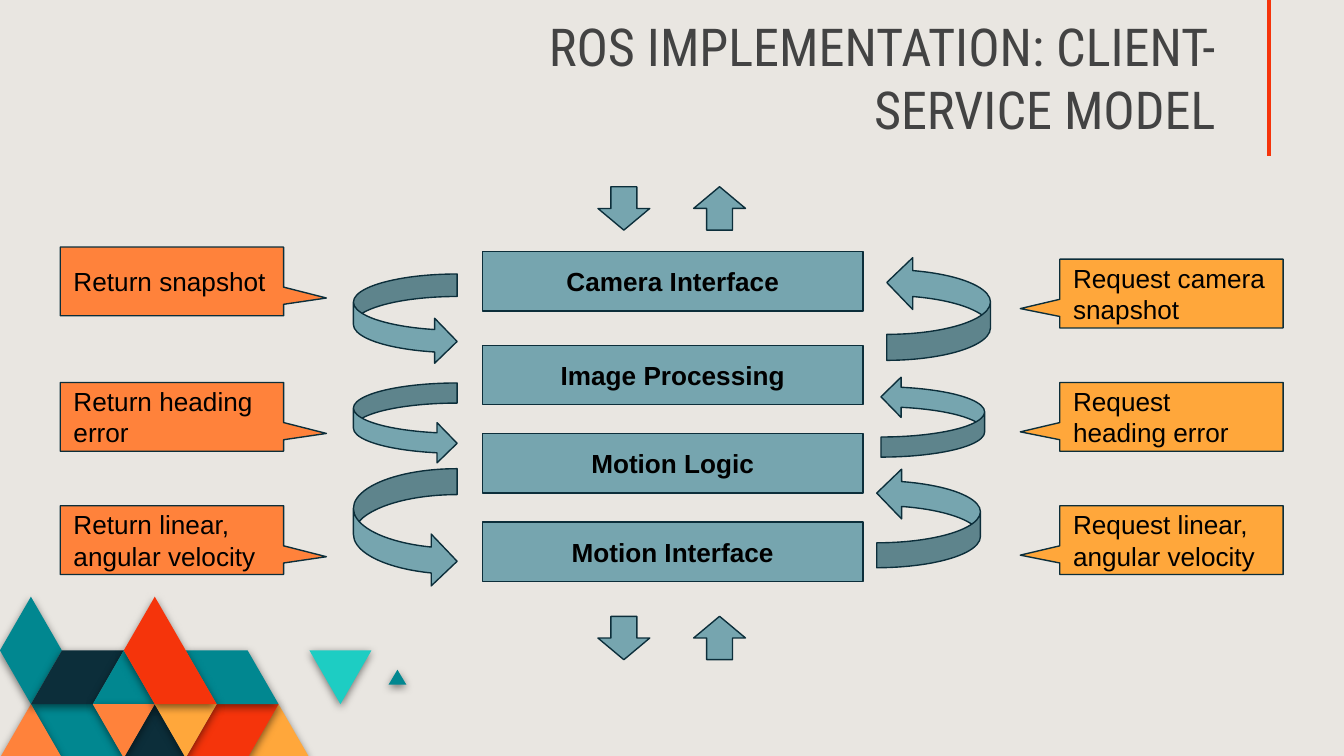
import pptx
import pptx.util
import pptx.dml.color
import pptx.enum.shapes
import pptx.enum.text
import pptx.oxml
import pptx.oxml.ns

Cm = pptx.util.Cm
Pt = pptx.util.Pt
KIND = pptx.enum.shapes.MSO_SHAPE
ALIGN = pptx.enum.text.PP_ALIGN
ANCHOR = pptx.enum.text.MSO_ANCHOR

STEEL, NAVY, AMBER, CORAL = "76A5AF", "0C2E3A", "FFA73B", "FF823B"
TEAL, RED, AQUA, SAND = "018790", "F5340B", "1DCDC3", "E9E6E1"

TITLE = "ROS IMPLEMENTATION: CLIENT-SERVICE MODEL"
LAYERS = [
    ("Camera Interface", 4.76),
    ("Image Processing", 6.53),
    ("Motion Logic", 8.2),
    ("Motion Interface", 9.87),
]
NOTES = [
    (1.14, CORAL, (0.692, 0.242), [
        ("Return snapshot", 4.67),
        ("Return heading error", 7.23),
        ("Return linear, angular velocity", 9.56),
    ]),
    (20.03, AMBER, (-0.677, 0.219), [
        ("Request camera snapshot", 4.9),
        ("Request heading error", 7.23),
        ("Request linear, angular velocity", 9.56),
    ]),
]
DOWNS = [(5.18, 1.7), (7.24, 1.52), (8.86, 2.24)]
UPS = [(16.76, 4.85, 1.96), (16.65, 7.12, 1.52), (16.57, 8.85, 1.88)]
TILES = [
    (AMBER, [(8, 3), (9, 2), (10, 3)]),
    (RED, [(7, 2), (9, 2), (8, 3), (6, 3)]),
    (TEAL, [(1, 2), (3, 2), (4, 3), (2, 3)]),
    (CORAL, [(0, 3), (1, 2), (2, 3)]),
    (NAVY, [(4, 3), (5, 2), (6, 3)]),
    (TEAL, [(6, 1), (8, 1), (9, 2), (7, 2)]),
    (TEAL, [(12.55, 1.64), (12.84, 1.36), (13.13, 1.64)]),
    (AQUA, [(10, 1), (12, 1), (11, 2)]),
    (TEAL, [(0, 1), (1, 0), (2, 1), (1, 2)]),
    (NAVY, [(2, 1), (4, 1), (3, 2), (1, 2)]),
    (TEAL, [(3, 2), (4, 1), (5, 2)]),
    (CORAL, [(3, 2), (5, 2), (4, 3)]),
    (AMBER, [(5, 2), (7, 2), (6, 3)]),
    (RED, [(4, 1), (5, 0), (7, 2), (5, 2)]),
]

deck = pptx.Presentation()
deck.slide_width, deck.slide_height = Cm(25.4), Cm(14.29)
slide = deck.slides.add_slide(deck.slide_layouts[6])
shapes = slide.shapes


def tint(fmt, color):
    fmt.solid()
    fmt.fore_color.rgb = pptx.dml.color.RGBColor.from_string(color)


def write(shape, text, size, font, color, align, anchor, bold=False):
    frame = shape.text_frame
    frame.text = text
    frame.word_wrap = True
    frame.vertical_anchor = anchor
    frame.margin_left = frame.margin_right = Cm(0.25)
    frame.margin_top = frame.margin_bottom = Cm(0.25)
    para = frame.paragraphs[0]
    para.alignment = align
    face = para.runs[0].font
    face.size, face.name, face.bold = Pt(size), font, bold
    tint(face.fill, color)


def draw(kind, left, top, width, height, color=STEEL, turn=0):
    shape = shapes.add_shape(kind, Cm(left), Cm(top), Cm(width), Cm(height))
    shape.shadow.inherit = False
    shape.rotation = turn
    tint(shape.fill, color)
    tint(shape.line.fill, NAVY)
    shape.line.width = Pt(0.75)
    return shape


def shade(shape):
    shape.shadow.inherit = False
    glow = shape._element.spPr.find(pptx.oxml.ns.qn("a:effectLst"))
    glow.append(pptx.oxml.parse_xml(
        f'<a:outerShdw {pptx.oxml.ns.nsdecls("a")} blurRad="57150" dist="19050"'
        ' dir="5400000" algn="bl" rotWithShape="0"><a:srgbClr val="000000">'
        '<a:alpha val="50000"/></a:srgbClr></a:outerShdw>'))


def tile(color, spots):
    dots = [(Cm(0.585 * col), Cm(11.28 + 1.015 * row)) for col, row in spots]
    pen = shapes.build_freeform(*dots[0])
    pen.add_line_segments(dots[1:], close=True)
    shape = pen.convert_to_shape()
    tint(shape.fill, color)
    shape.line.fill.background()
    shade(shape)


tint(slide.background.fill, SAND)
for color, spots in TILES:
    tile(color, spots)

rule = shapes.add_connector(pptx.enum.shapes.MSO_CONNECTOR.STRAIGHT,
                            Cm(23.98), Cm(0), Cm(23.98), Cm(2.95))
tint(rule.line.fill, RED)
rule.line.width = Pt(2.25)
rule._element.spPr.append(pptx.oxml.parse_xml(
    f'<a:effectLst {pptx.oxml.ns.nsdecls("a")}/>'))

title = shapes.add_textbox(Cm(9.63), Cm(1.3), Cm(13.59), Cm(1.6))
write(title, TITLE, 28, "Roboto Condensed", "434343", ALIGN.RIGHT, ANCHOR.BOTTOM)

for text, top in LAYERS:
    box = draw(KIND.RECTANGLE, 9.12, top, 7.19, 1.12)
    write(box, text, 14, "Arial", "000000", ALIGN.CENTER, ANCHOR.MIDDLE, True)

BEND = 1.96
for top, tall in DOWNS:
    draw(KIND.CURVED_RIGHT_ARROW, 6.68, top, BEND, tall)
for left, top, tall in UPS:
    slip = (BEND - tall) / 2
    draw(KIND.CURVED_UP_ARROW, left + slip, top - slip, tall, BEND, turn=270)

for left, color, tip, notes in NOTES:
    for text, top in notes:
        note = draw(KIND.RECTANGULAR_CALLOUT, left, top, 4.22, 1.3, color)
        note.adjustments[0], note.adjustments[1] = tip
        write(note, text, 14, "Arial", "000000", ALIGN.LEFT, ANCHOR.MIDDLE)

for top in (3.53, 11.65):
    for left, turn in ((13.11, 0), (11.3, 180)):
        draw(KIND.UP_ARROW, left, top, 0.98, 0.82, turn=turn)

deck.save("out.pptx")
